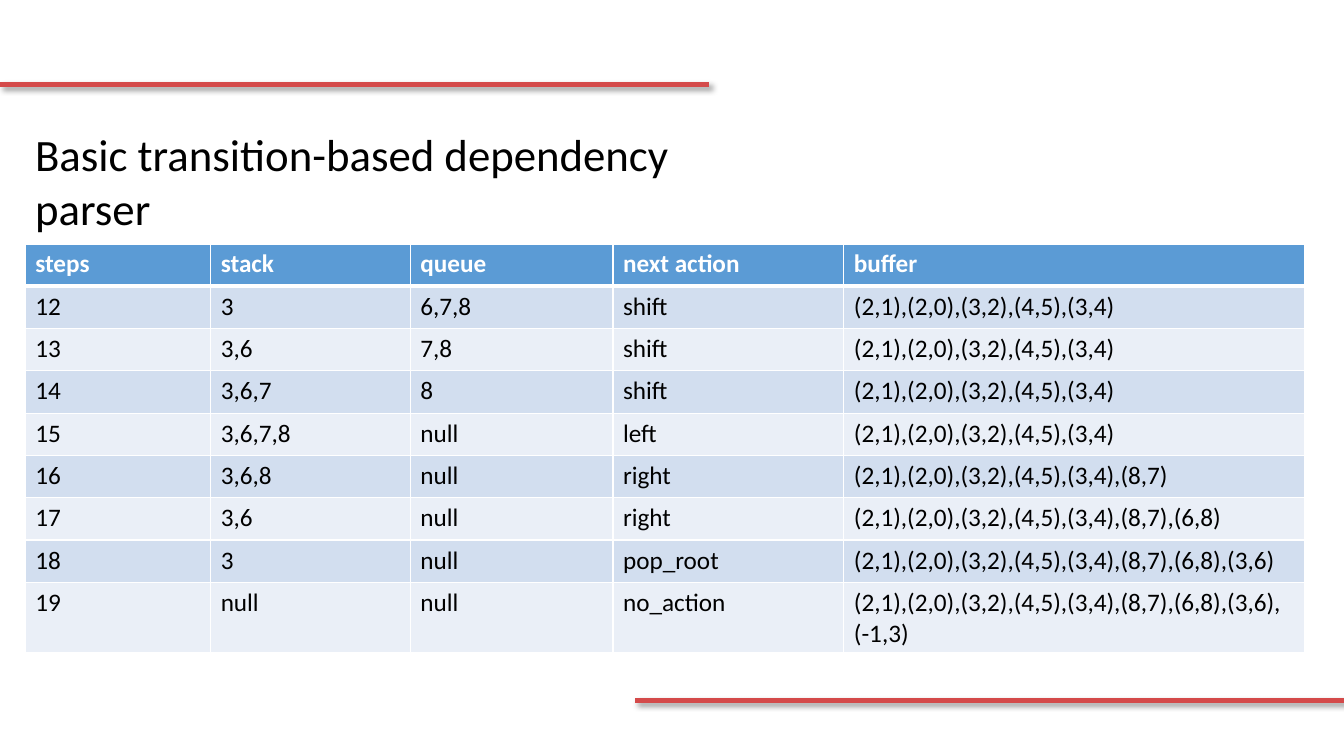
from lxml import etree
from pptx import Presentation
from pptx.dml.color import RGBColor
from pptx.enum.shapes import MSO_CONNECTOR
from pptx.oxml import parse_xml
from pptx.oxml.ns import nsdecls, qn
from pptx.util import Inches, Pt

COLORS = {
    "rule": "D44A4A",
    "text": "000000",
    "header": "5B9BD5",
    "odd": "D2DEEF",
    "even": "EAEFF7",
    "white": "FFFFFF",
}
FONT = "Calibri"

HEADER = ["steps", "stack", "queue", "next action", "buffer"]
COL_WIDTHS = [1.84, 1.98, 2.01, 2.29, 4.57]
ROW_HEIGHT = 0.42

# Arcs in the order the parser adds them; each step shows the first few
ARCS = ["(2,1)", "(2,0)", "(3,2)", "(4,5)", "(3,4)",
        "(8,7)", "(6,8)", "(3,6)", "(-1,3)"]
FIRST_STEP = 12
STEPS = [  # stack, queue, next action, number of arcs
    ("3", "6,7,8", "shift", 5),
    ("3,6", "7,8", "shift", 5),
    ("3,6,7", "8", "shift", 5),
    ("3,6,7,8", "null", "left", 5),
    ("3,6,8", "null", "right", 6),
    ("3,6", "null", "right", 7),
    ("3", "null", "pop_root", 8),
    ("null", "null", "no_action", 9),
]


def rgb(name):
    return RGBColor.from_string(COLORS[name])


def write_text(tf, text, size=18, color="text", bold=False):
    r = tf.paragraphs[0].add_run()
    r.text = text
    r.font.name = FONT
    r.font.size = Pt(size)
    r.font.bold = bold
    r.font.color.rgb = rgb(color)


def add_rule(slide, x1, x2, y):
    line = slide.shapes.add_connector(
        MSO_CONNECTOR.STRAIGHT, Inches(x1), Inches(y), Inches(x2), Inches(y))
    line.line.color.rgb = rgb("rule")
    line.line.width = Pt(4)
    shadow = parse_xml(
        f'<a:effectLst {nsdecls("a")}>'
        f'<a:outerShdw blurRad="{Pt(4)}" dist="{Pt(3)}" dir="2700000" '
        'algn="tl" rotWithShape="0"><a:srgbClr val="000000">'
        '<a:alpha val="40000"/></a:srgbClr></a:outerShdw></a:effectLst>')
    line.line._get_or_add_ln().addnext(shadow)


def add_title(slide, text, left, top, width, height):
    tf = slide.shapes.add_textbox(
        Inches(left), Inches(top), Inches(width), Inches(height)).text_frame
    tf.word_wrap = True
    write_text(tf, text, size=32)


def set_borders(cell, bottom=1):
    tc_pr = cell._tc.get_or_add_tcPr()
    for side, width in (("L", 1), ("R", 1), ("T", 1), ("B", bottom)):
        ln = etree.SubElement(tc_pr, qn(f"a:ln{side}"), w=str(Pt(width)))
        fill = etree.SubElement(ln, qn("a:solidFill"))
        etree.SubElement(fill, qn("a:srgbClr"), val=COLORS["white"])


def fill_cell(cell, text, fill, bottom=1, **text_format):
    set_borders(cell, bottom)
    cell.fill.solid()
    cell.fill.fore_color.rgb = rgb(fill)
    write_text(cell.text_frame, text, **text_format)


def add_steps_table(slide, left, top):
    n_rows = len(STEPS) + 1
    table = slide.shapes.add_table(
        n_rows, len(HEADER), Inches(left), Inches(top),
        Inches(sum(COL_WIDTHS)), Inches(ROW_HEIGHT * n_rows)).table
    for column, width in zip(table.columns, COL_WIDTHS):
        column.width = Inches(width)
    for row in table.rows:
        row.height = Inches(ROW_HEIGHT)

    # Header row
    for c, text in enumerate(HEADER):
        fill_cell(table.cell(0, c), text, "header", bottom=3,
                  color="white", bold=True)

    # Parser steps, in alternating bands
    for i, (stack, queue, action, n_arcs) in enumerate(STEPS):
        values = [str(FIRST_STEP + i), stack, queue, action,
                  ",".join(ARCS[:n_arcs])]
        for c, text in enumerate(values):
            fill_cell(table.cell(i + 1, c), text, "even" if i % 2 else "odd",
                      bottom=1)
    for c in range(len(HEADER)):
        top_border = table.cell(1, c)._tc.tcPr.find(qn("a:lnT"))
        top_border.set("w", str(Pt(3)))


def main():
    prs = Presentation()
    prs.slide_width, prs.slide_height = Inches(13.33), Inches(7.5)
    slide = prs.slides.add_slide(prs.slide_layouts[6])

    # Decorative rules
    add_rule(slide, 0, 7.03, 0.84)
    add_rule(slide, 6.3, 13.33, 6.95)

    # Title and table
    add_title(slide, "Basic transition-based dependency parser",
              0.25, 1.21, 7.73, 0.64)
    add_steps_table(slide, 0.25, 2.42)

    prs.save("out.pptx")


if __name__ == "__main__":
    main()
